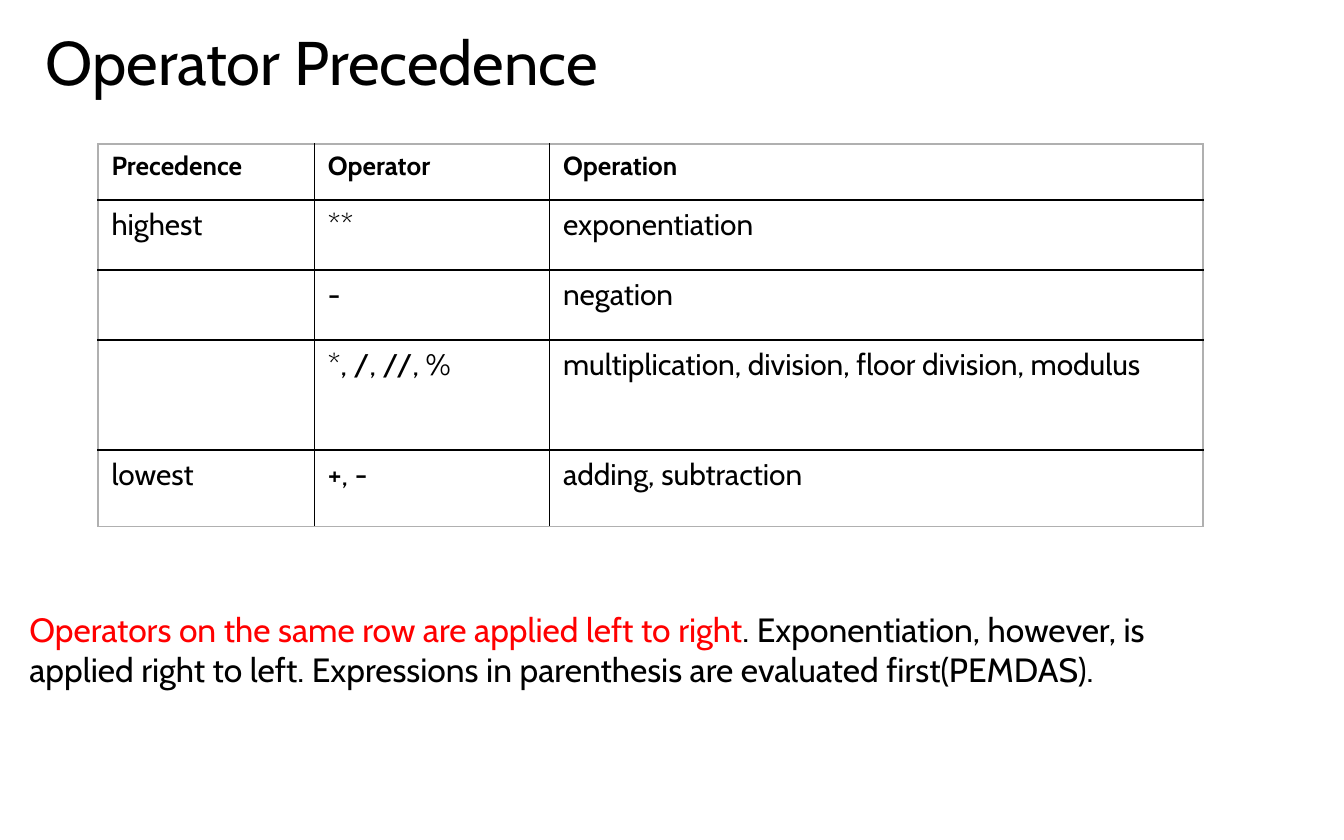
from lxml import etree
from pptx import Presentation
from pptx import util as u
from pptx.dml.color import RGBColor
from pptx.enum import text
from pptx.oxml import ns

FONT = "Cabin"
COLORS = {"ink": "000000", "accent": "FF0000", "frame": "B0B0B0"}
WIDTH, HEIGHT = 10, 6.25
COLUMNS = [1.61, 1.75, 4.86]
ROWS = [0.42, 0.52, 0.52, 0.82, 0.57]
PRECEDENCE = [
    ["Precedence", "Operator", "Operation"],
    ["highest", "**", "exponentiation"],
    ["", "-", "negation"],
    ["", "*, /, //, %", "multiplication, division, floor division, modulus"],
    ["lowest", "+, -", "adding, subtraction"],
]
RULES = [
    [("Operators on the same row are applied left to right", "accent"),
     (". Exponentiation, however, is", "ink")],
    [("applied right to left. Expressions in parenthesis are evaluated first(PEMDAS).", "ink")],
]


def style_font(font, size, color="ink", bold=False):
    font.name = FONT
    font.size = u.Pt(size)
    font.bold = bold
    font.color.rgb = RGBColor.from_string(COLORS[color])


def add_box(slide, left, top, width, height):
    sp = slide.shapes.add_textbox(*map(u.Inches, (left, top, width, height)))
    sp.text_frame.word_wrap = True
    return sp.text_frame


def add_title(slide, title):
    tf = add_box(slide, 0.24, 0.11, 7.71, 0.75)
    tf.vertical_anchor = text.MSO_ANCHOR.MIDDLE
    tf.text = title
    p = tf.paragraphs[0]
    p.line_spacing = 0.9
    style_font(p.runs[0].font, 33)


def add_paragraphs(slide, paragraphs):
    tf = add_box(slide, 0.12, 4.48, 9.27, 0.71)
    tf.auto_size = text.MSO_AUTO_SIZE.SHAPE_TO_FIT_TEXT
    for i, parts in enumerate(paragraphs):
        p = tf.add_paragraph() if i else tf.paragraphs[0]
        for words, color in parts:
            r = p.add_run()
            r.text = words
            style_font(r.font, 18, color)


def set_borders(cell, outer):
    tc_pr = cell._tc.get_or_add_tcPr()
    for side in "LRTB":
        ln = etree.SubElement(tc_pr, ns.qn(f"a:ln{side}"), w=str(u.Pt(1)))
        fill = etree.SubElement(ln, ns.qn("a:solidFill"))
        color = COLORS["frame" if side in outer else "ink"]
        etree.SubElement(fill, ns.qn("a:srgbClr"), val=color)


def outer_sides(row, col):
    edges = {"L": col == 0, "R": col == len(COLUMNS) - 1,
             "T": row == 0, "B": row == len(ROWS) - 1}
    return [side for side, on_edge in edges.items() if on_edge]


def add_precedence_table(slide, left, top):
    size = (left, top, sum(COLUMNS), sum(ROWS))
    table = slide.shapes.add_table(len(ROWS), len(COLUMNS), *map(u.Inches, size)).table
    table.first_row = table.horz_banding = False
    for column, width in zip(table.columns, COLUMNS):
        column.width = u.Inches(width)
    for i, (row, height) in enumerate(zip(table.rows, ROWS)):
        row.height = u.Inches(height)
        for j, cell in enumerate(row.cells):
            cell.text = PRECEDENCE[i][j]
            for r in cell.text_frame.paragraphs[0].runs:
                style_font(r.font, 16 if i else 14, bold=i == 0)
            set_borders(cell, outer_sides(i, j))
            cell.fill.background()


def main():
    prs = Presentation()
    prs.slide_width, prs.slide_height = u.Inches(WIDTH), u.Inches(HEIGHT)
    slide = prs.slides.add_slide(prs.slide_layouts[6])
    add_precedence_table(slide, 0.73, 1.07)
    add_title(slide, "Operator Precedence")
    add_paragraphs(slide, RULES)
    prs.save("out.pptx")


if __name__ == "__main__":
    main()
